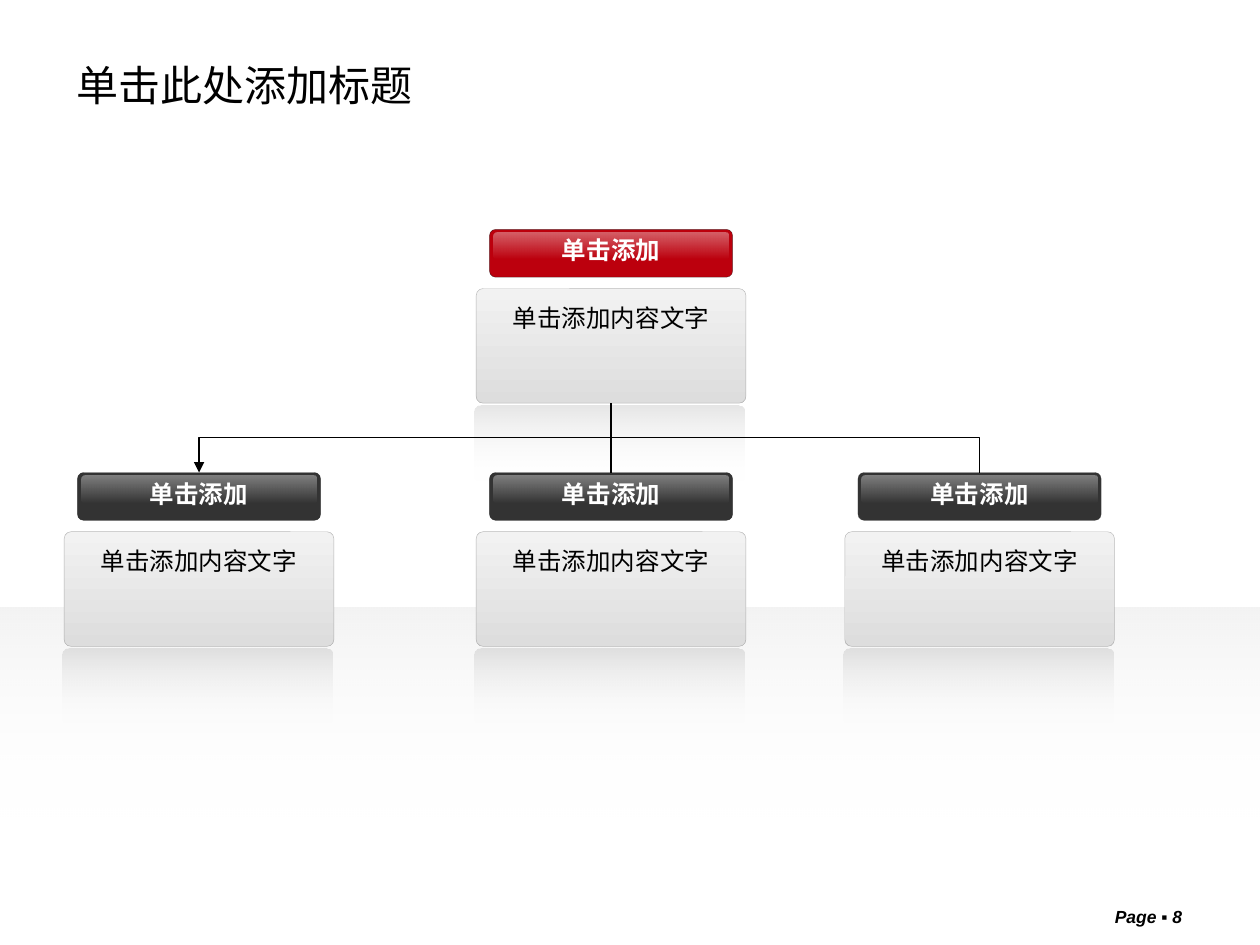
import lxml.etree
import pptx
import pptx.dml.color
import pptx.enum.shapes
import pptx.enum.text
import pptx.oxml.ns
import pptx.util

RGBColor = pptx.dml.color.RGBColor
ALIGN = pptx.enum.text.PP_ALIGN
ANCHOR = pptx.enum.text.MSO_ANCHOR
CONNECTOR = pptx.enum.shapes.MSO_CONNECTOR
ROUNDED = pptx.enum.shapes.MSO_SHAPE.ROUNDED_RECTANGLE
qn = pptx.oxml.ns.qn

BLACK = RGBColor(0x00, 0x00, 0x00)
WHITE = RGBColor(0xFF, 0xFF, 0xFF)
RED = RGBColor(0xBC, 0x00, 0x0D)
CHARCOAL = RGBColor(0x33, 0x33, 0x33)
EDGE = RGBColor(0x1C, 0x1C, 0x1C)
CARD_TOP = RGBColor(0xF2, 0xF2, 0xF2)
CARD_BOTTOM = RGBColor(0xDD, 0xDD, 0xDD)
CARD_EDGE = RGBColor(0x96, 0x96, 0x96)
SHADE = RGBColor(0x77, 0x77, 0x77)

# Grid of 100 columns by 75 rows
COLUMNS, ROWS = 100, 75
HEADER_WIDTH, HEADER_HEIGHT = 19.3, 3.8
CARD_WIDTH, CARD_HEIGHT, CARD_OFFSET = 21.4, 9.1, 4.7
TOP_ROW, LOWER_ROW = 18.2, 37.5
LEFT, MIDDLE, RIGHT = 15.8, 48.5, 77.75


def write(shape, text, size=14, bold=False, italic=False, color=BLACK,
          align=ALIGN.CENTER, anchor=ANCHOR.TOP, line_spacing=None):
    frame = shape.text_frame
    frame.word_wrap = True
    frame.vertical_anchor = anchor
    paragraph = frame.paragraphs[0]
    paragraph.alignment = align
    paragraph.line_spacing = line_spacing
    run = paragraph.add_run()
    run.text = text
    run.font.name = "Arial"
    run.font.size = pptx.util.Pt(size)
    run.font.bold, run.font.italic = bold, italic
    run.font.color.rgb = color


def set_opacity(parent, percent):
    color = next(parent.iter(qn("a:srgbClr")))
    alpha = lxml.etree.SubElement(color, qn("a:alpha"))
    alpha.set("val", str(percent * 1000))


class ChartSlide:
    def __init__(self, presentation):
        self.column = presentation.slide_width / COLUMNS
        self.row = presentation.slide_height / ROWS
        self.slide = presentation.slides.add_slide(presentation.slide_layouts[5])

    def box(self, left, top, width, height):
        return (round(left * self.column), round(top * self.row),
                round(width * self.column), round(height * self.row))

    def title(self, text, *place):
        title = self.slide.shapes.title
        title.left, title.top, title.width, title.height = self.box(*place)
        write(title, text, size=24, align=ALIGN.LEFT, anchor=ANCHOR.MIDDLE)

    def text(self, text, *place, shapes=None, **style):
        shapes = shapes or self.slide.shapes
        write(shapes.add_textbox(*self.box(*place)), text, **style)

    def panel(self, *place, corner=0, fill=None, gradient=None, edge=None, shapes=None):
        """gradient: (color, opacity) from top to bottom; edge: (color, opacity)."""
        shapes = shapes or self.slide.shapes
        shape = shapes.add_shape(ROUNDED, *self.box(*place))
        shape.shadow.inherit = False
        shape.adjustments[0] = corner
        if gradient:
            shape.fill.gradient()
            shape.fill.gradient_angle = 270
            for stop, (color, _) in zip(shape.fill.gradient_stops, gradient):
                stop.color.rgb = color
            for element, (_, opacity) in zip(shape.element.iter(qn("a:gs")), gradient):
                set_opacity(element, opacity)
        else:
            shape.fill.solid()
            shape.fill.fore_color.rgb = fill
        if edge:
            shape.line.color.rgb = edge[0]
            shape.line.width = pptx.util.Pt(0.25)
            set_opacity(shape.element.spPr.find(qn("a:ln")), edge[1])
        else:
            shape.line.fill.background()
        return shape

    def reflection(self, center, node_top):
        top = node_top + CARD_OFFSET + CARD_HEIGHT + 0.2
        self.panel(center - CARD_WIDTH / 2 - 0.1, top, CARD_WIDTH, 6, corner=0.08,
                   gradient=[(SHADE, 19), (WHITE, 0)])

    def node(self, center, top, color, edge_color=EDGE):
        # Glossy header
        group = self.slide.shapes.add_group_shape().shapes
        left = center - HEADER_WIDTH / 2
        header = self.panel(left, top, HEADER_WIDTH, HEADER_HEIGHT, corner=0.13,
                            fill=color, edge=(edge_color, 57), shapes=group)
        gloss = self.panel(left + 0.3, top + 0.25, HEADER_WIDTH - 0.6, 2.1, corner=0.13,
                           gradient=[(WHITE, 0), (WHITE, 39)], shapes=group)
        gloss.rotation = 180
        self.text("单击添加", left, top, HEADER_WIDTH, 3.3, shapes=group,
                  bold=True, color=WHITE)
        # Content card
        card = self.panel(center - CARD_WIDTH / 2, top + CARD_OFFSET, CARD_WIDTH,
                          CARD_HEIGHT, corner=0.06, edge=(CARD_EDGE, 68),
                          gradient=[(CARD_TOP, 100), (CARD_BOTTOM, 100)])
        write(card, "单击添加内容文字", line_spacing=1.2)
        return header, card

    def connector(self, kind, *ends):
        line = self.slide.shapes.add_connector(kind, *ends)
        line.line.color.rgb = BLACK
        line.line.width = pptx.util.Pt(0.75)
        lxml.etree.SubElement(line.element.spPr, qn("a:effectLst"))
        return line

    def straight(self, card, header):
        line = self.connector(CONNECTOR.STRAIGHT, 0, 0, 0, 0)
        line.begin_connect(card, 2)
        line.end_connect(header, 0)

    def elbow(self, card, header, arrow=False):
        """Elbow that leaves downwards: drawn sideways, then turned a quarter."""
        start_x, start_y = card.left + card.width // 2, card.top + card.height
        end_x, end_y = header.left + header.width // 2, header.top
        middle_x, middle_y = (start_x + end_x) // 2, (start_y + end_y) // 2
        half_drop, half_run = (end_y - start_y) // 2, abs(end_x - start_x) // 2
        side = 1 if end_x < start_x else -1
        line = self.connector(CONNECTOR.ELBOW,
                              middle_x - side * half_drop, middle_y - half_run,
                              middle_x + side * half_drop, middle_y + half_run)
        turn = 90 if side == 1 else 270
        line.element.spPr.find(qn("a:xfrm")).set("rot", str(turn * 60000))
        if arrow:
            outline = line.element.spPr.find(qn("a:ln"))
            lxml.etree.SubElement(outline, qn("a:tailEnd")).set("type", "triangle")


def main():
    presentation = pptx.Presentation()
    presentation.slide_width = pptx.util.Inches(10)
    presentation.slide_height = pptx.util.Inches(7.5)
    chart = ChartSlide(presentation)

    # Title and page number
    chart.title("单击此处添加标题", 5.1, 3.5, 63.8, 6.5)
    chart.text("Page ▪ 8", 79.1, 71.4, 15.7, 2.2, size=10, bold=True,
               italic=True, align=ALIGN.RIGHT)

    # Floor
    chart.reflection(MIDDLE, TOP_ROW)
    chart.panel(0, 48.2, COLUMNS, 16.9, gradient=[(SHADE, 9), (WHITE, 0)])

    # Nodes
    _, root = chart.node(MIDDLE, TOP_ROW, RED)
    left, _ = chart.node(LEFT, LOWER_ROW, CHARCOAL)
    right, _ = chart.node(RIGHT, LOWER_ROW, CHARCOAL, edge_color=CHARCOAL)
    middle, _ = chart.node(MIDDLE, LOWER_ROW, CHARCOAL)

    # Connectors
    chart.straight(root, middle)
    chart.elbow(root, left, arrow=True)
    chart.elbow(root, right)

    # Reflections of the lower cards
    for center in (LEFT, MIDDLE, RIGHT):
        chart.reflection(center, LOWER_ROW)

    presentation.save("out.pptx")


if __name__ == "__main__":
    main()
